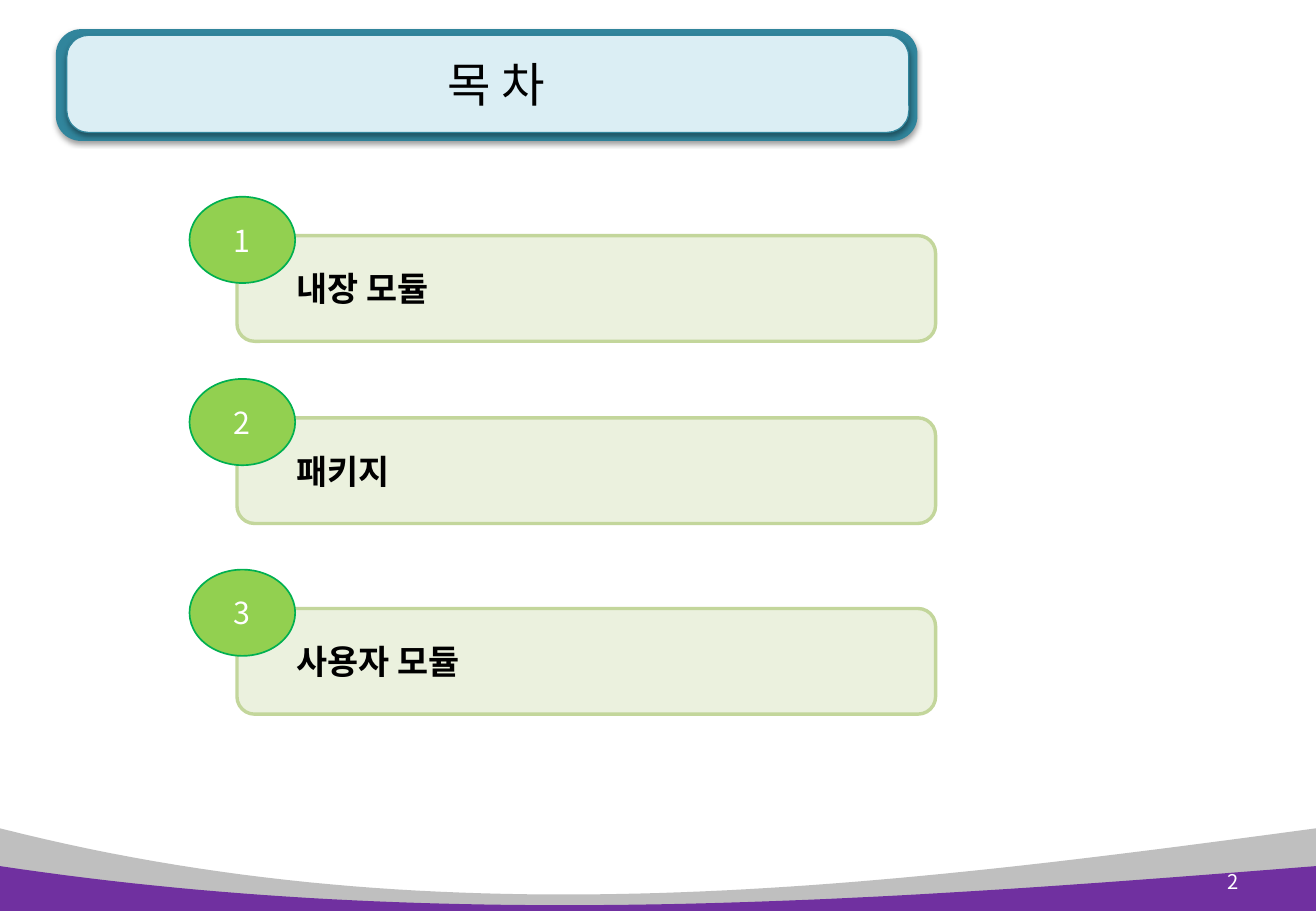
from dataclasses import dataclass
from lxml import etree
from pptx import Presentation
from pptx import util as u
from pptx.dml.color import RGBColor
from pptx.enum import shapes, text
from pptx.oxml.ns import qn

HEADING = "목 차"
PAGE = "2"
CHAPTERS = [("1", "내장 모듈", 25.87), ("2", "패키지", 45.87), ("3", "사용자 모듈", 66.8)]

HEADING_AREA = (6.37, 2.93, 62.6, 12.53)
FRAME_AREA = (4.25, 3.2, 65.47, 12.27)
PANEL_AREA = (5.08, 3.87, 63.99, 10.67)
PAGE_AREA = (89.38, 94.13, 5.63, 5.33)
CARD_LEFT, CARD_WIDTH, CARD_HEIGHT, CARD_INDENT = 18.01, 53.09, 11.6, 4.15
BADGE_LEFT, BADGE_WIDTH, BADGE_HEIGHT, BADGE_RISE = 14.4, 8.03, 9.47, 4.27
WAVE_X = (0, 33.7, 66.48, 100)
GREY_WAVE_Y = (90.93, 103.33, 97.47, 90.93)
PURPLE_WAVE_Y = (95.07, 102.4, 98.93, 95.07)
WAVE_STEPS = 60


@dataclass(frozen=True)
class Theme:
    font: str = "Noto Sans CJK KR"
    black: str = "000000"
    white: str = "FFFFFF"
    grey: str = "BFBFBF"
    purple: str = "7030A0"
    teal: str = "31859C"
    pale_teal: str = "DBEEF4"
    card: str = "EBF1DE"
    card_edge: str = "C3D69B"
    badge: str = "92D050"
    badge_edge: str = "00B050"
    heading_size: int = 28
    card_size: int = 20
    badge_size: int = 18
    page_size: int = 12


theme = Theme()
deck = Presentation()
deck.slide_width, deck.slide_height = u.Inches(10.83), u.Inches(7.5)
slide = deck.slides.add_slide(deck.slide_layouts[5])


def across(share):
    return round(deck.slide_width * share / 100)


def down(share):
    return round(deck.slide_height * share / 100)


def place(area):
    left, top, width, height = area
    return across(left), down(top), across(width), down(height)


def paint(part, fill, edge=None, weight=1):
    part.shadow.inherit = False
    part.fill.solid()
    part.fill.fore_color.rgb = RGBColor.from_string(fill)
    if edge:
        part.line.color.rgb = RGBColor.from_string(edge)
        part.line.width = u.Pt(weight)
    else:
        part.line.fill.background()


def write(part, words, size, color, align, bold=False):
    frame = part.text_frame
    frame.text = words
    frame.word_wrap = True
    frame.vertical_anchor = text.MSO_ANCHOR.MIDDLE
    paragraph = frame.paragraphs[0]
    paragraph.alignment = align
    run = paragraph.runs[0]
    run.font.name = theme.font
    run.font.size = u.Pt(size)
    run.font.bold = bold
    run.font.color.rgb = RGBColor.from_string(color)
    etree.SubElement(run.font._element, qn("a:ea"), typeface=theme.font)


def cast_shadow(part):
    effects = part.element.spPr.find(qn("a:effectLst"))
    shadow = etree.SubElement(
        effects, qn("a:outerShdw"), blurRad=str(u.Pt(3.1)), dist=str(u.Pt(1.6)),
        dir="5400000", rotWithShape="0")
    tint = etree.SubElement(shadow, qn("a:srgbClr"), val=theme.black)
    etree.SubElement(tint, qn("a:alpha"), val="38000")


def bezier(ends, t):
    a, b, c, d = ends
    s = 1 - t
    return a * s**3 + 3 * b * s**2 * t + 3 * c * s * t**2 + d * t**3


def add_wave(heights, color):
    steps = [i / WAVE_STEPS for i in range(WAVE_STEPS + 1)]
    crest = [(across(bezier(WAVE_X, t)), down(bezier(heights, t))) for t in steps]
    outline = slide.shapes.build_freeform(*crest[0])
    outline.add_line_segments(crest[1:] + [(across(100), down(100)), (0, down(100))])
    paint(outline.convert_to_shape(), color)


def add_plate(area, fill, edge=None):
    plate = slide.shapes.add_shape(shapes.MSO_SHAPE.ROUNDED_RECTANGLE, *place(area))
    plate.adjustments[0] = 0.225
    paint(plate, fill, edge, 0.75)
    cast_shadow(plate)


def add_chapter(number, name, top):
    card = slide.shapes.add_shape(
        shapes.MSO_SHAPE.ROUNDED_RECTANGLE, *place((CARD_LEFT, top, CARD_WIDTH, CARD_HEIGHT)))
    paint(card, theme.card, theme.card_edge, 2)
    write(card, name, theme.card_size, theme.black, text.PP_ALIGN.LEFT, True)
    card.text_frame.margin_left = across(CARD_INDENT)
    badge = slide.shapes.add_shape(
        shapes.MSO_SHAPE.OVAL, *place((BADGE_LEFT, top - BADGE_RISE, BADGE_WIDTH, BADGE_HEIGHT)))
    paint(badge, theme.badge, theme.badge_edge)
    write(badge, number, theme.badge_size, theme.white, text.PP_ALIGN.CENTER)


add_wave(GREY_WAVE_Y, theme.grey)
add_plate(FRAME_AREA, theme.teal)
add_plate(PANEL_AREA, theme.pale_teal, theme.teal)
add_wave(PURPLE_WAVE_Y, theme.purple)

heading = slide.shapes.title
heading.left, heading.top, heading.width, heading.height = place(HEADING_AREA)
write(heading, HEADING, theme.heading_size, theme.black, text.PP_ALIGN.CENTER)
slide.shapes.element.append(heading.element)

page = slide.shapes.add_textbox(*place(PAGE_AREA))
write(page, PAGE, theme.page_size, theme.white, text.PP_ALIGN.RIGHT)

for chapter in CHAPTERS:
    add_chapter(*chapter)

deck.save("out.pptx")
